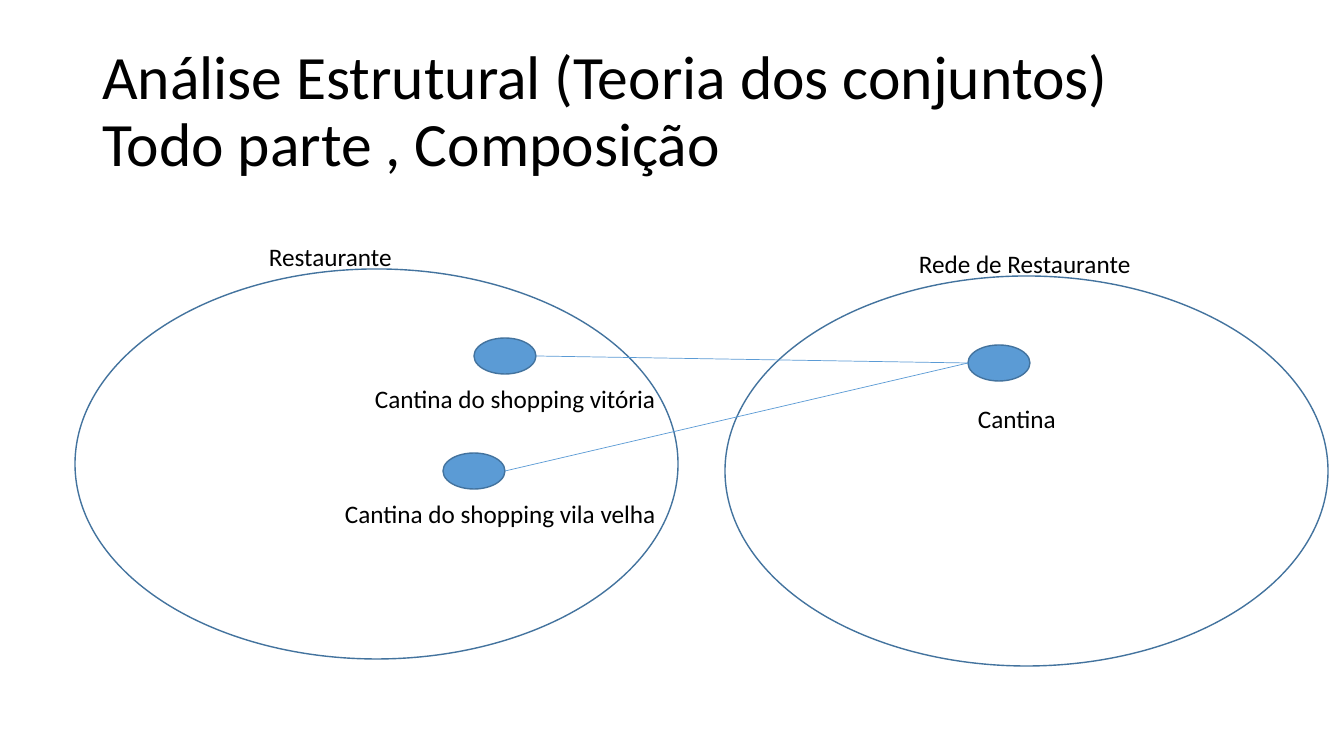
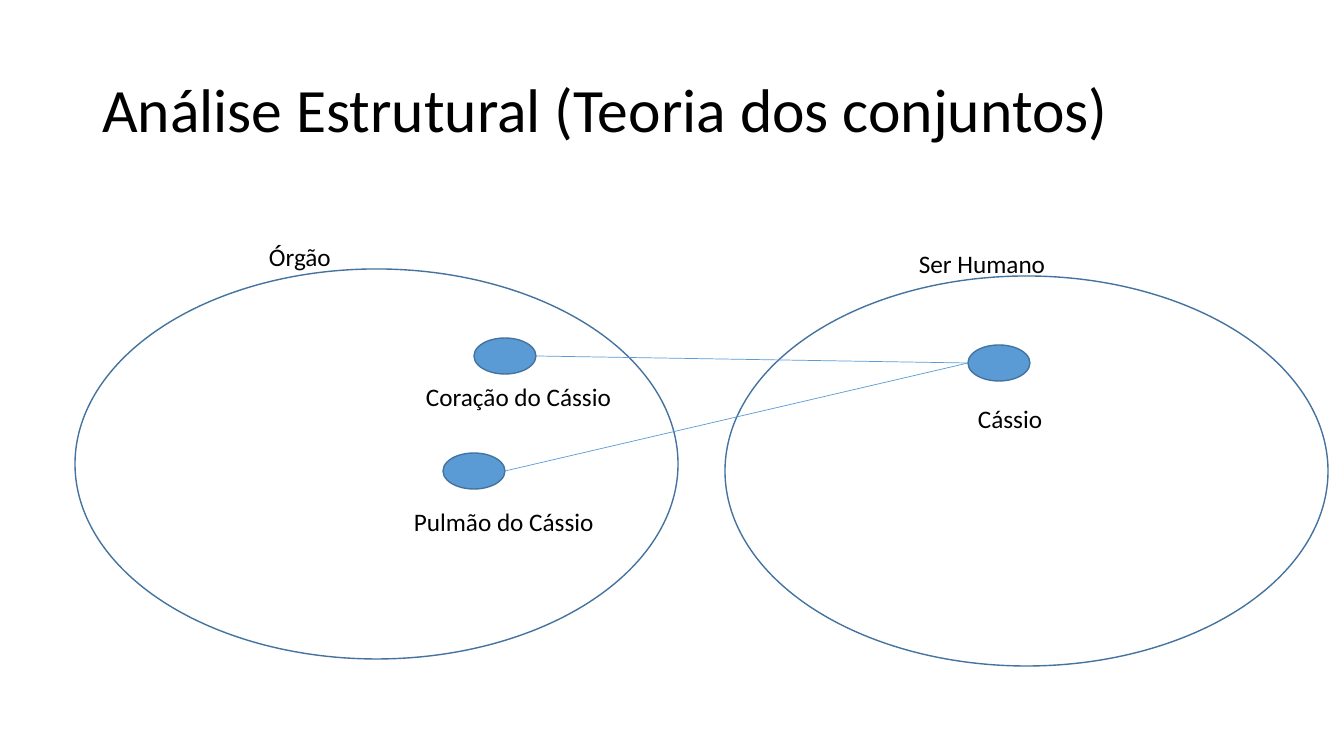
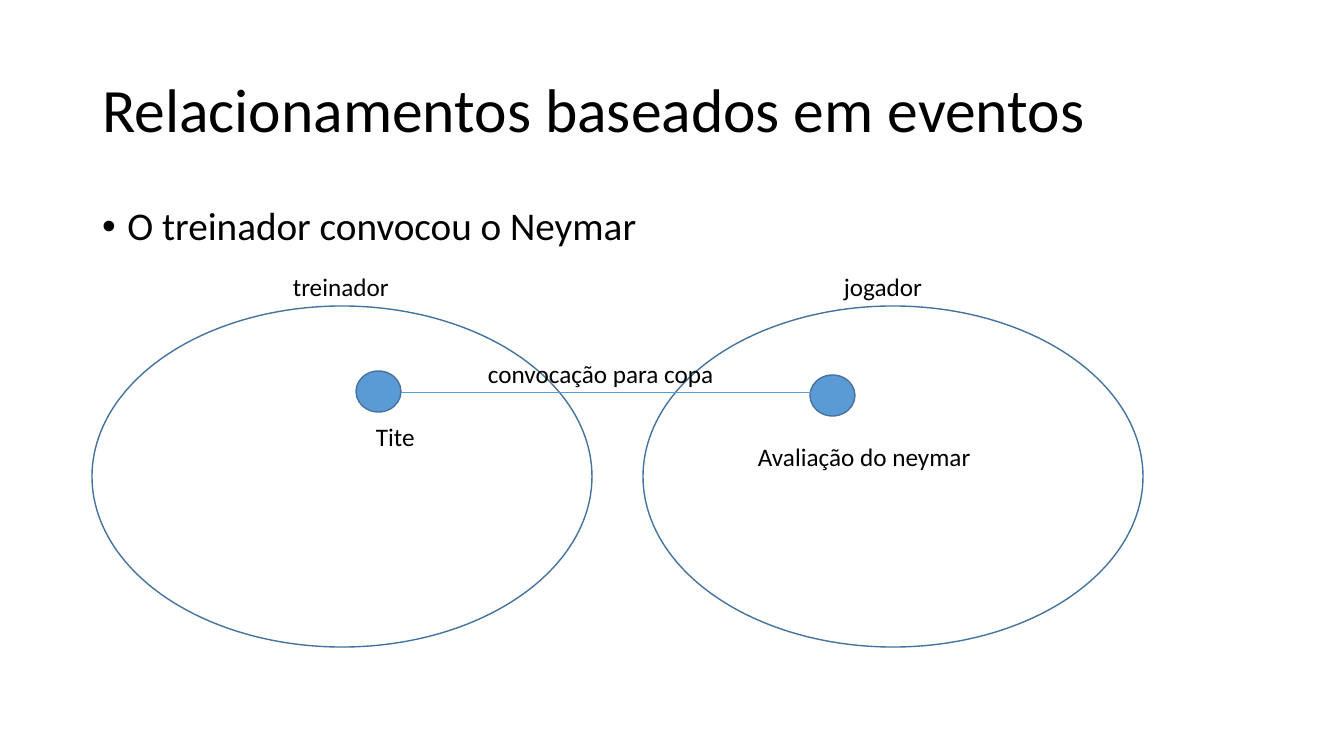
from pptx import Presentation
from pptx.dml.color import RGBColor
from pptx.enum.shapes import MSO_CONNECTOR, MSO_SHAPE
from pptx.enum.text import MSO_ANCHOR, MSO_AUTO_SIZE, PP_ALIGN
from pptx.oxml.ns import qn
from pptx.util import Emu, Pt
from lxml.etree import SubElement

BLACK = RGBColor(0x00, 0x00, 0x00)
BLUE = RGBColor(0x5B, 0x9B, 0xD5)
DARK_BLUE = RGBColor(0x43, 0x73, 0x9E)
FONT = "Calibri"
SCALE = 12192000 / 1344
TITLE_ONLY, TITLE_AND_BODY = 5, 1
TITLE_BOX = (92, 40, 1159, 146)
BODY_BOX = (92, 202, 1159, 480)
LABEL_HEIGHT = 40

# Geometry of the two set diagrams: ovals, dots and links (x, y) to (x, y)
STRUCTURE = {
    "oval_size": (603, 390),
    "ovals": [(75, 269), (725, 276)],
    "dot_size": (62, 36),
    "dots": [(474, 338), (968, 345), (443, 453)],
    "links": [(536, 356, 968, 363), (505, 471, 968, 363)],
    "arrow": False,
}
EVENT = {
    "oval_size": (500, 341),
    "ovals": [(92, 306), (643, 306)],
    "dot_size": (45, 41),
    "dots": [(356, 371), (810, 375)],
    "links": [(401, 392, 834, 392)],
    "arrow": True,
}

# Title lines, bullet, diagram, labels as (text, left, top, width)
PAGES = [
    (["Análise Estrutural (Teoria dos conjuntos)", "Todo parte , Composição"], None, STRUCTURE, [
        ("Restaurante", 259, 236, 144),
        ("Cantina do shopping vitória", 365, 378, 312),
        ("Rede de Restaurante", 909, 243, 235),
        ("Cantina", 968, 398, 107),
        ("Cantina do shopping vila velha", 335, 493, 343),
    ]),
    (["Análise Estrutural (Teoria dos conjuntos)"], None, STRUCTURE, [
        ("Órgão", 259, 236, 83),
        ("Coração do Cássio", 416, 376, 208),
        ("Ser Humano", 909, 243, 148),
        ("Cássio", 968, 398, 86),
        ("Pulmão do Cássio", 404, 501, 202),
    ]),
    (["Relacionamentos baseados em eventos"], "O treinador convocou o Neymar", EVENT, [
        ("treinador", 283, 266, 117),
        ("jogador", 834, 266, 99),
        ("Tite", 366, 416, 59),
        ("Avaliação do neymar", 748, 436, 235),
        ("convocação para copa", 478, 353, 248),
    ]),
]


def emu(*pixels):
    """Turn pixel lengths into a list of EMU lengths."""
    return [Emu(round(pixel * SCALE)) for pixel in pixels]


def write(para, text, size):
    """Add one black, left-aligned run to a paragraph."""
    para.alignment = PP_ALIGN.LEFT
    span = para.add_run()
    span.text = text
    span.font.name = FONT
    span.font.size = Pt(size)
    span.font.color.rgb = BLACK


deck = Presentation()
deck.slide_width, deck.slide_height = emu(1344, 756)

for title_lines, bullet, diagram, labels in PAGES:
    layout = TITLE_AND_BODY if bullet else TITLE_ONLY
    page = deck.slides.add_slide(deck.slide_layouts[layout])

    title = page.shapes.title
    title.left, title.top, title.width, title.height = emu(*TITLE_BOX)
    title.text_frame.auto_size = MSO_AUTO_SIZE.NONE
    title.text_frame.vertical_anchor = MSO_ANCHOR.MIDDLE
    para = title.text_frame.paragraphs[0]
    para.line_spacing = 0.9
    for number, line_text in enumerate(title_lines):
        if number:
            para.add_line_break()
        write(para, line_text, 44)

    if bullet:
        body = page.placeholders[1]
        body.left, body.top, body.width, body.height = emu(*BODY_BOX)
        body.text_frame.auto_size = MSO_AUTO_SIZE.NONE
        para = body.text_frame.paragraphs[0]
        para.line_spacing = 0.9
        para.space_before = Pt(10)
        write(para, bullet, 28)
        properties = para._p.get_or_add_pPr()
        properties.set("marL", str(Pt(18)))
        properties.set("indent", str(-Pt(18)))
        SubElement(properties, qn("a:buFont")).set("typeface", "Arial")
        SubElement(properties, qn("a:buChar")).set("char", "•")

    ellipses = [(spot, diagram["oval_size"], False) for spot in diagram["ovals"]]
    ellipses += [(spot, diagram["dot_size"], True) for spot in diagram["dots"]]
    for spot, size, filled in ellipses:
        ellipse = page.shapes.add_shape(MSO_SHAPE.OVAL, *emu(*spot, *size))
        ellipse.shadow.inherit = False
        ellipse.line.color.rgb = DARK_BLUE
        ellipse.line.width = Pt(1)
        if filled:
            ellipse.fill.solid()
            ellipse.fill.fore_color.rgb = BLUE
        else:
            ellipse.fill.background()

    for ends in diagram["links"]:
        link = page.shapes.add_connector(MSO_CONNECTOR.STRAIGHT, *emu(*ends))
        link.line.color.rgb = BLUE
        link.line.width = Pt(0.5)
        if diagram["arrow"]:
            SubElement(link.line._get_or_add_ln(), qn("a:tailEnd")).set("type", "triangle")
        SubElement(link._element.spPr, qn("a:effectLst"))

    for text, left, top, width in labels:
        box = page.shapes.add_textbox(*emu(left, top, width, LABEL_HEIGHT))
        box.text_frame.word_wrap = False
        box.text_frame.auto_size = MSO_AUTO_SIZE.SHAPE_TO_FIT_TEXT
        write(box.text_frame.paragraphs[0], text, 18)

deck.save("out.pptx")
